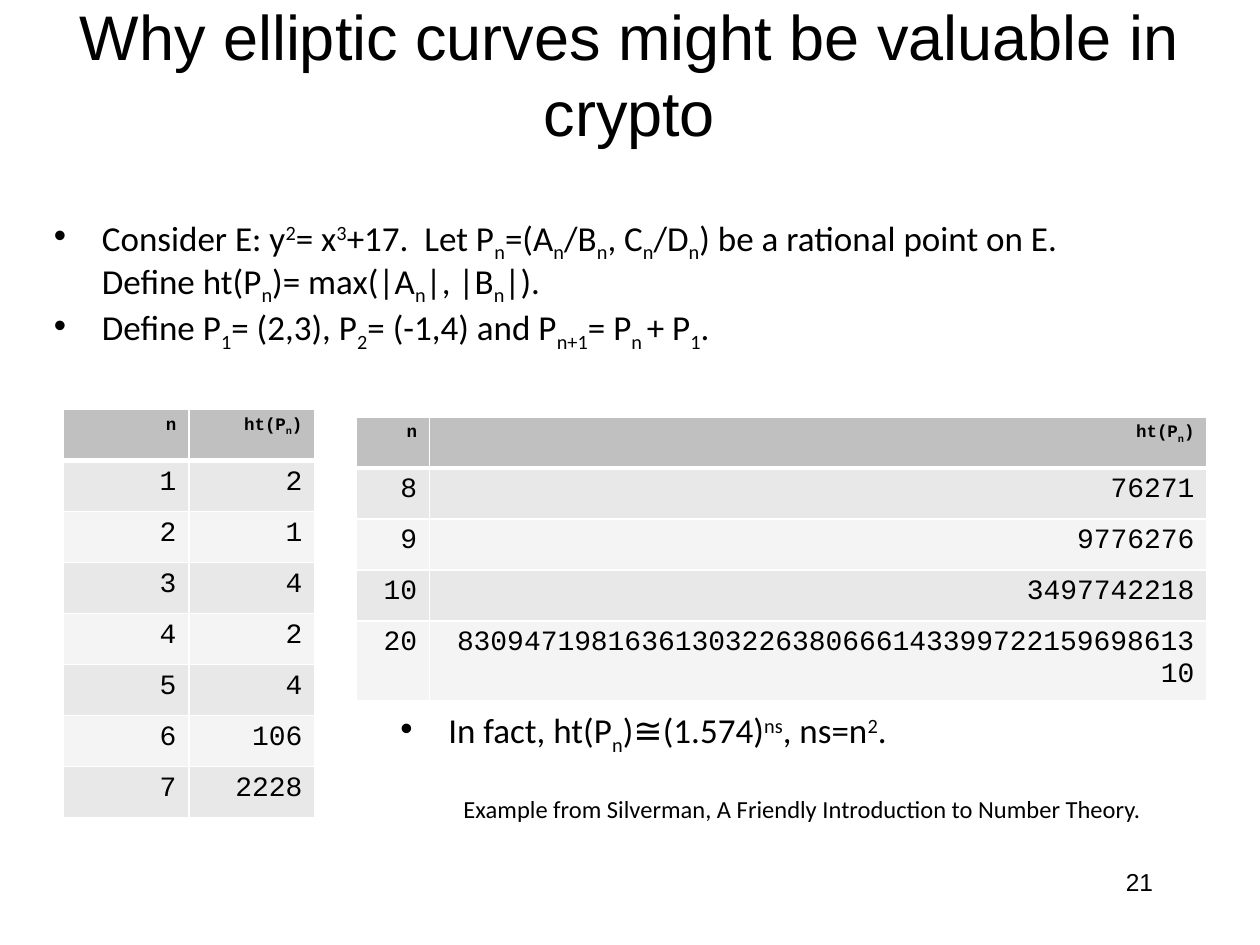
import pptx
import pptx.dml.color
import pptx.enum.text
import pptx.oxml
import pptx.oxml.ns
import pptx.util
from pptx.util import Inches

ALIGN = pptx.enum.text.PP_ALIGN
ANCHOR = pptx.enum.text.MSO_ANCHOR
NAMESPACE = pptx.oxml.ns.nsdecls("a")
BODY_FONT = {"name": "Calibri", "size": pptx.util.Pt(20)}
HEADER_FONT = {"name": "Courier New", "size": pptx.util.Pt(10), "bold": True}
VALUE_FONT = {"name": "Courier New", "size": pptx.util.Pt(16), "bold": False}
BULLET_FORMAT = {"line_spacing": 0.9}
HEADER = ["n", "ht(P~n~)"]
SMALL_HEIGHTS = [2, 1, 4, 2, 4, 106, 2228]
LARGE_HEIGHTS = {
    8: 76271,
    9: 9776276,
    10: 3497742218,
    20: 8309471981636130322638066614339972215969861310,
}


def color(value):
    return pptx.dml.color.RGBColor.from_string(value)


def apply_format(target, values):
    for name, value in values.items():
        setattr(target, name, value)


def add_run(paragraph, text, font, baseline):
    if not text:
        return
    run = paragraph.add_run()
    run.text = text
    apply_format(run.font, font)
    run.font.color.rgb = color("000000")
    if baseline:
        run.font._element.set("baseline", str(baseline))


def write_text(paragraph, text, font):
    """Text between tildes is subscript, text between carets superscript."""
    for i, part in enumerate(text.split("~")):
        if i % 2:
            add_run(paragraph, part, font, -25000)
        else:
            for j, piece in enumerate(part.split("^")):
                add_run(paragraph, piece, font, 30000 if j % 2 else 0)


def add_text(slide, box, text, font, alignment=ALIGN.LEFT, wrap=True):
    frame = slide.shapes.add_textbox(*box).text_frame
    frame.word_wrap = wrap
    paragraph = frame.paragraphs[0]
    paragraph.alignment = alignment
    write_text(paragraph, text, font)


def add_title(slide, box, text):
    title = slide.shapes.title
    apply_format(title, dict(zip(("left", "top", "width", "height"), box)))
    frame = title.text_frame
    apply_format(frame, {"word_wrap": True, "vertical_anchor": ANCHOR.MIDDLE,
                         "auto_size": pptx.enum.text.MSO_AUTO_SIZE.NONE})
    frame.paragraphs[0].alignment = ALIGN.CENTER
    write_text(frame.paragraphs[0], text, {"name": "Arial", "size": pptx.util.Pt(36)})


def add_bullets(slide, box, lines):
    frame = slide.shapes.add_textbox(*box).text_frame
    frame.word_wrap = True
    for index, line in enumerate(lines):
        paragraph = frame.add_paragraph() if index else frame.paragraphs[0]
        properties = paragraph._p.get_or_add_pPr()
        properties.set("marL", str(Inches(0.38)))
        properties.set("indent", str(-Inches(0.38)))
        properties.append(pptx.oxml.parse_xml(f'<a:buFont {NAMESPACE} typeface="Arial"/>'))
        properties.append(pptx.oxml.parse_xml(f'<a:buChar {NAMESPACE} char="•"/>'))
        apply_format(paragraph, BULLET_FORMAT)
        if index:
            paragraph.space_before = pptx.util.Pt(2)
        write_text(paragraph, line, BODY_FONT)


def add_borders(cell, bottom_points):
    properties = cell._tc.get_or_add_tcPr()
    for side, points in {"L": 1, "R": 1, "T": 1, "B": bottom_points}.items():
        properties.append(pptx.oxml.parse_xml(
            f'<a:ln{side} {NAMESPACE} w="{pptx.util.Pt(points)}"><a:solidFill>'
            f'<a:srgbClr val="FFFFFF"/></a:solidFill></a:ln{side}>'))


def add_height_table(slide, left, top, column_widths, heights):
    rows = [HEADER] + [[str(n), str(height)] for n, height in heights.items()]
    row_height = Inches(0.405)
    table = slide.shapes.add_table(
        len(rows), len(HEADER), left, top, sum(column_widths), row_height * len(rows)).table
    for column, width in zip(table.columns, column_widths):
        column.width = width
    for i, row in enumerate(rows):
        table.rows[i].height = row_height
        fill = "C0C0C0" if i == 0 else "E8E8E8" if i % 2 else "F4F4F4"
        for j, text in enumerate(row):
            cell = table.cell(i, j)
            add_borders(cell, 1 if i else 3)
            cell.fill.solid()
            cell.fill.fore_color.rgb = color(fill)
            paragraph = cell.text_frame.paragraphs[0]
            paragraph.alignment = ALIGN.RIGHT
            write_text(paragraph, text, VALUE_FONT if i else HEADER_FONT)


def build_slide(presentation):
    slide = presentation.slides.add_slide(presentation.slide_layouts[5])
    add_title(slide, (Inches(0.33), Inches(0.08), Inches(9.33), Inches(1)),
              "Why elliptic curves might be valuable in crypto")
    add_bullets(slide, (Inches(0.33), Inches(1.67), Inches(8.92), Inches(1.25)), [
        "Consider E: y^2^= x^3^+17.  Let P~n~=(A~n~/B~n~, C~n~/D~n~) be a rational point on E.  "
        "Define ht(P~n~)= max(|A~n~|, |B~n~|).",
        "Define P~1~= (2,3), P~2~= (-1,4) and P~n+1~= P~n ~+ P~1~.",
    ])
    add_height_table(slide, Inches(0.5), Inches(3.25), [Inches(1), Inches(1)],
                     dict(enumerate(SMALL_HEIGHTS, 1)))
    add_height_table(slide, Inches(2.83), Inches(3.31), [Inches(0.58), Inches(6.17)],
                     LARGE_HEIGHTS)
    add_bullets(slide, (Inches(3.08), Inches(5.58), Inches(6.5), Inches(1.17)),
                ["In fact, ht(P~n~)≅(1.574)^ns^, ns=n^2^."])
    add_text(slide, (Inches(3.58), Inches(6.25), Inches(5.62), Inches(0.34)),
             "Example from Silverman, A Friendly Introduction to Number Theory.",
             {"name": "Calibri", "size": pptx.util.Pt(14)}, wrap=False)
    add_text(slide, (Inches(7.17), Inches(6.83), Inches(2.08), Inches(0.5)), "21",
             {"name": "Arial", "size": pptx.util.Pt(14)}, ALIGN.RIGHT)


def main():
    presentation = pptx.Presentation()
    presentation.slide_width = Inches(10)
    presentation.slide_height = Inches(7.5)
    build_slide(presentation)
    presentation.save("out.pptx")


if __name__ == "__main__":
    main()
